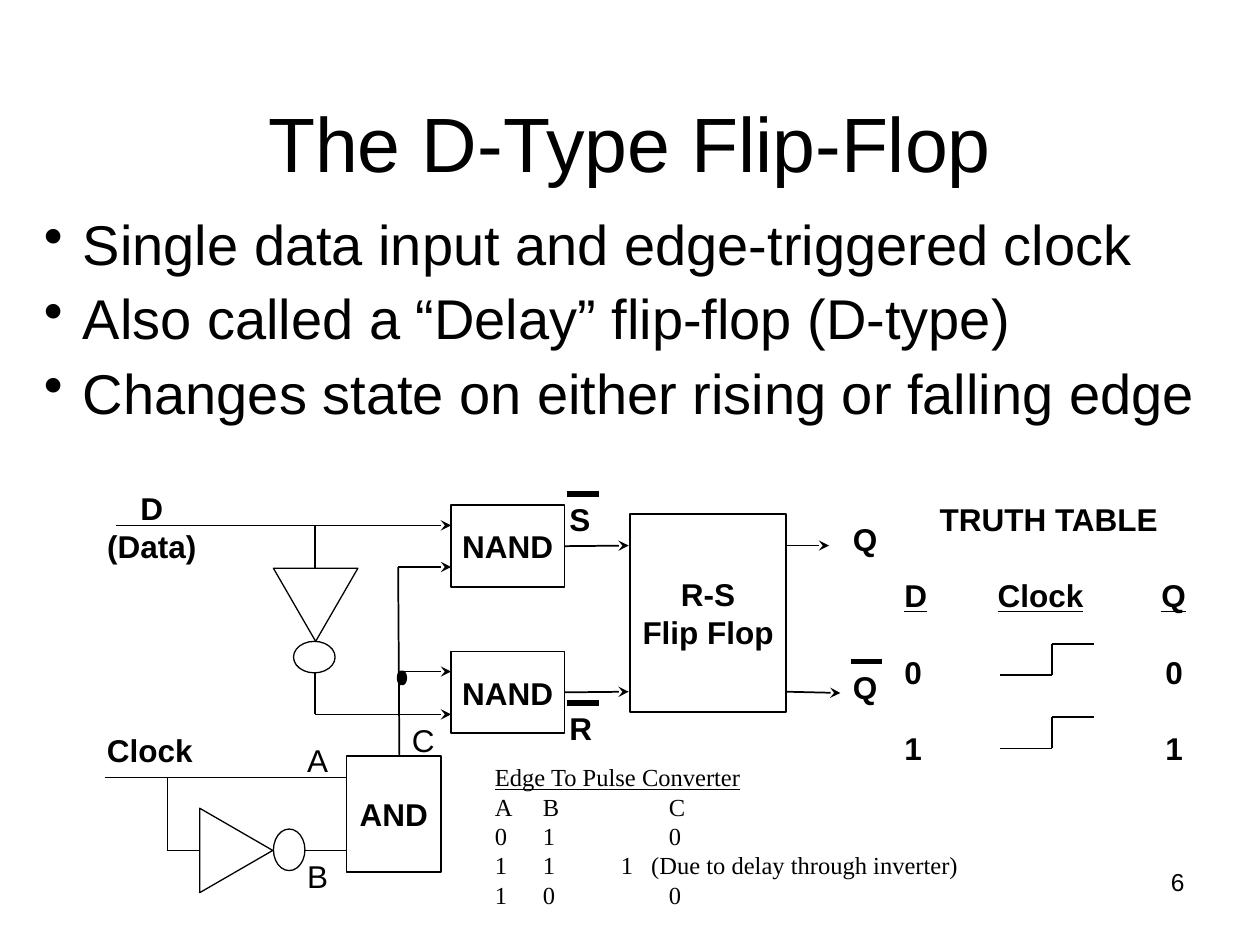
from dataclasses import dataclass
from itertools import pairwise
from typing import Optional

from lxml.etree import SubElement
from pptx import Presentation
from pptx.dml.color import RGBColor
from pptx.enum.shapes import MSO_CONNECTOR, MSO_SHAPE
from pptx.enum.text import MSO_ANCHOR, PP_ALIGN
from pptx.oxml.ns import qn
from pptx.util import Inches, Pt

BLACK = RGBColor(0, 0, 0)
WHITE = RGBColor(255, 255, 255)
THIN, NORMAL, THICK = 0.75, 1, 3
BOLD = {"name": "Arial", "size": Pt(18), "bold": True}
PLAIN = {"name": "Arial", "size": Pt(18)}
SMALL = {"name": "Arial", "size": Pt(14)}
TITLE = {"name": "Arial", "size": Pt(44)}
BULLET = {"name": "Arial", "size": Pt(32)}
SERIF = {"name": "Times New Roman", "size": Pt(14)}
UNDERLINED = {"underline": True}


@dataclass
class Label:
    text: str
    place: tuple
    font: dict
    align: PP_ALIGN = PP_ALIGN.LEFT
    wrap: bool = False


@dataclass
class Part:
    kind: MSO_SHAPE
    place: tuple
    width: float = THIN
    fill: Optional[RGBColor] = None
    text: str = ""
    rotation: float = 0


@dataclass
class Wire:
    start: tuple
    end: tuple
    width: float = NORMAL
    arrow: bool = False


def set_values(target, values: dict) -> None:
    for name, value in values.items():
        setattr(target, name, value)


def write(frame, text: str, font: dict, **layout) -> None:
    """Fill a text frame, one paragraph per line."""
    frame.text = text
    for para in frame.paragraphs:
        set_values(para, layout)
        for span in para.runs:
            set_values(span.font, font)
            span.font.color.rgb = BLACK


def set_tabs(para, stops: list) -> None:
    tab_list = SubElement(para._p.get_or_add_pPr(), qn("a:tabLst"))
    for stop in stops:
        SubElement(tab_list, qn("a:tab"), pos=str(Inches(stop)), algn="l")


def set_bullet(para, indent: float) -> None:
    properties = para._p.get_or_add_pPr()
    properties.set("marL", str(Inches(indent)))
    properties.set("indent", str(-Inches(indent)))
    SubElement(properties, qn("a:buChar"), char="•")


def add_label(page, label: Label):
    box = page.shapes.add_textbox(*map(Inches, label.place))
    box.text_frame.word_wrap = label.wrap
    write(box.text_frame, label.text, label.font, alignment=label.align)
    return box.text_frame


def add_part(page, part: Part):
    shape = page.shapes.add_shape(part.kind, *map(Inches, part.place))
    shape.shadow.inherit = False
    shape.rotation = part.rotation
    if part.fill is None:
        shape.fill.background()
    else:
        shape.fill.solid()
        shape.fill.fore_color.rgb = part.fill
    shape.line.color.rgb = BLACK
    shape.line.width = Pt(part.width)
    if part.text:
        set_values(shape.text_frame, {"word_wrap": False, "vertical_anchor": MSO_ANCHOR.MIDDLE})
        write(shape.text_frame, part.text, BOLD, alignment=PP_ALIGN.CENTER)
    return shape


def add_wire(page, wire: Wire):
    line = page.shapes.add_connector(MSO_CONNECTOR.STRAIGHT, *map(Inches, wire.start + wire.end))
    line.line.color.rgb = BLACK
    line.line.width = Pt(wire.width)
    if wire.arrow:
        SubElement(line.line._get_or_add_ln(), qn("a:tailEnd"), type="stealth")
    SubElement(line._element.spPr, qn("a:effectLst"))
    return line


NAND_TOPS = (4.01, 5.17)
PARTS = [
    Part(MSO_SHAPE.RECTANGLE, (5, 4.08, 1.24, 1.57), NORMAL, WHITE, "R-S\nFlip Flop"),
    Part(MSO_SHAPE.RECTANGLE, (2.75, 6, 0.75, 0.92), THIN, WHITE, "AND"),
    Part(MSO_SHAPE.OVAL, (3.17, 5.34, 0.04, 0.08), THICK, BLACK),
    # Inverters: triangle and bubble
    Part(MSO_SHAPE.ISOSCELES_TRIANGLE, (2.17, 4.51, 0.67, 0.58), rotation=180),
    Part(MSO_SHAPE.OVAL, (2.33, 5.09, 0.33, 0.25)),
    Part(MSO_SHAPE.ISOSCELES_TRIANGLE, (1.54, 6.46, 0.67, 0.58), rotation=90),
    Part(MSO_SHAPE.OVAL, (2.17, 6.58, 0.25, 0.33)),
]
WIRES = [
    # Gate inputs and flip-flop outputs
    Wire((0.92, 4.17), (3.58, 4.17), arrow=True),
    Wire((3.16, 4.5), (3.58, 4.5), arrow=True),
    Wire((3.16, 5.33), (3.58, 5.33), arrow=True),
    Wire((2.5, 5.67), (3.58, 5.67), arrow=True),
    Wire((3.16, 4.5), (3.17, 6)),
    Wire((6.24, 4.33), (6.58, 4.33), arrow=True),
    Wire((6.24, 5.49), (6.67, 5.5), arrow=True),
    # Inverter and clock wiring
    Wire((2.5, 4.17), (2.5, 4.51), THIN),
    Wire((2.5, 5.34), (2.5, 5.67), THIN),
    Wire((0.83, 6.17), (2.75, 6.17), THIN),
    Wire((1.33, 6.17), (1.33, 6.75), THIN),
    Wire((1.33, 6.75), (1.58, 6.75), THIN),
    Wire((2.42, 6.75), (2.75, 6.75), THIN),
]
# Bars over the inverted signals
WIRES += [Wire((x, y), (x + 0.25, y), THICK) for x, y in ((4.5, 3.92), (4.5, 5.58), (6.75, 5.25))]
# Rising clock edges in the truth table
for base in (5.36, 5.94):
    corners = [(7.94, base), (8.35, base), (8.35, base - 0.25), (8.68, base - 0.25)]
    WIRES += [Wire(start, end) for start, end in pairwise(corners)]

LABELS = [
    Label("D\n(Data)", (0.75, 3.83, 0.91, 0.7), BOLD, PP_ALIGN.CENTER),
    Label("Clock", (0.75, 5.75, 0.88, 0.4), BOLD),
    Label("S", (4.42, 3.92, 0.37, 0.4), BOLD),
    Label("R", (4.42, 5.58, 0.38, 0.4), BOLD),
    Label("Q", (6.67, 4.08, 0.4, 0.4), BOLD),
    Label("Q", (6.67, 5.25, 0.4, 0.4), BOLD),
    Label("A", (2.34, 5.83, 0.36, 0.4), PLAIN),
    Label("B", (2.34, 6.75, 0.36, 0.4), PLAIN),
    Label("C", (3.17, 5.67, 0.38, 0.4), PLAIN),
    Label("6", (7.17, 6.83, 2.33, 0.52), SMALL, PP_ALIGN.RIGHT, True),
]
BULLETS = """Single data input and edge-triggered clock
Also called a “Delay” flip-flop (D-type)
Changes state on either rising or falling edge"""
TRUTH_ROWS = "TRUTH TABLE\nD\tClock\tQ\n0\t0\n1\t1"
TRUTH_TABS = [[], [0.74, 2.04], [2.07], [2.07]]
PULSE_ROWS = """Edge To Pulse Converter
A\tB\tC
0\t1\t0
1\t1\t1\t(Due to delay through inverter)
1\t0\t0"""
PULSE_TABS = [[], [0.38, 1.38], [0.38, 1.38], [0.38, 1, 1.24], [0.38, 1.38]]


def main() -> None:
    deck = Presentation()
    deck.slide_width, deck.slide_height = Inches(10), Inches(7.5)
    page = deck.slides.add_slide(deck.slide_layouts[5])

    # Title and bullets
    title = page.shapes.title
    set_values(title, {"left": Inches(0.5), "top": Inches(0.3), "width": Inches(9), "height": Inches(1.25)})
    title.text_frame.vertical_anchor = MSO_ANCHOR.BOTTOM
    write(title.text_frame, "The D-Type Flip-Flop", TITLE, alignment=PP_ALIGN.CENTER, line_spacing=0.9)
    body = add_label(page, Label(BULLETS, (0.25, 1.67, 9.5, 4.95), BULLET, wrap=True))
    for para in body.paragraphs:
        set_values(para, {"line_spacing": 0.9, "space_before": Pt(8)})
        set_bullet(para, 0.31)

    # Circuit
    for part in PARTS:
        add_part(page, part)
    for top in NAND_TOPS:
        gate = add_part(page, Part(MSO_SHAPE.RECTANGLE, (3.58, top, 0.9, 0.65), NORMAL, WHITE, "NAND"))
        output = add_wire(page, Wire((4.48, top + 0.32), (4.99, top + 0.32), arrow=True))
        output.begin_connect(gate, 3)
    for wire in WIRES:
        add_wire(page, wire)
    for label in LABELS:
        add_label(page, label)

    # Truth table
    truth = add_label(page, Label(TRUTH_ROWS, (7.08, 3.92, 2.44, 2.2), BOLD, wrap=True))
    truth.margin_right = 0
    for para, stops in zip(truth.paragraphs, TRUTH_TABS):
        para.space_after = Pt(22)
        set_tabs(para, stops)
    truth.paragraphs[0]._p.get_or_add_pPr().set("marL", str(Inches(0.28)))
    set_values(truth.paragraphs[1].runs[0].font, UNDERLINED)

    # Edge to pulse converter
    pulse = add_label(page, Label(PULSE_ROWS, (3.83, 6, 4.08, 1.27), SERIF, wrap=True))
    for para, stops in zip(pulse.paragraphs, PULSE_TABS):
        set_tabs(para, stops)
    set_values(pulse.paragraphs[0].runs[0].font, UNDERLINED)

    deck.save("out.pptx")


if __name__ == "__main__":
    main()
